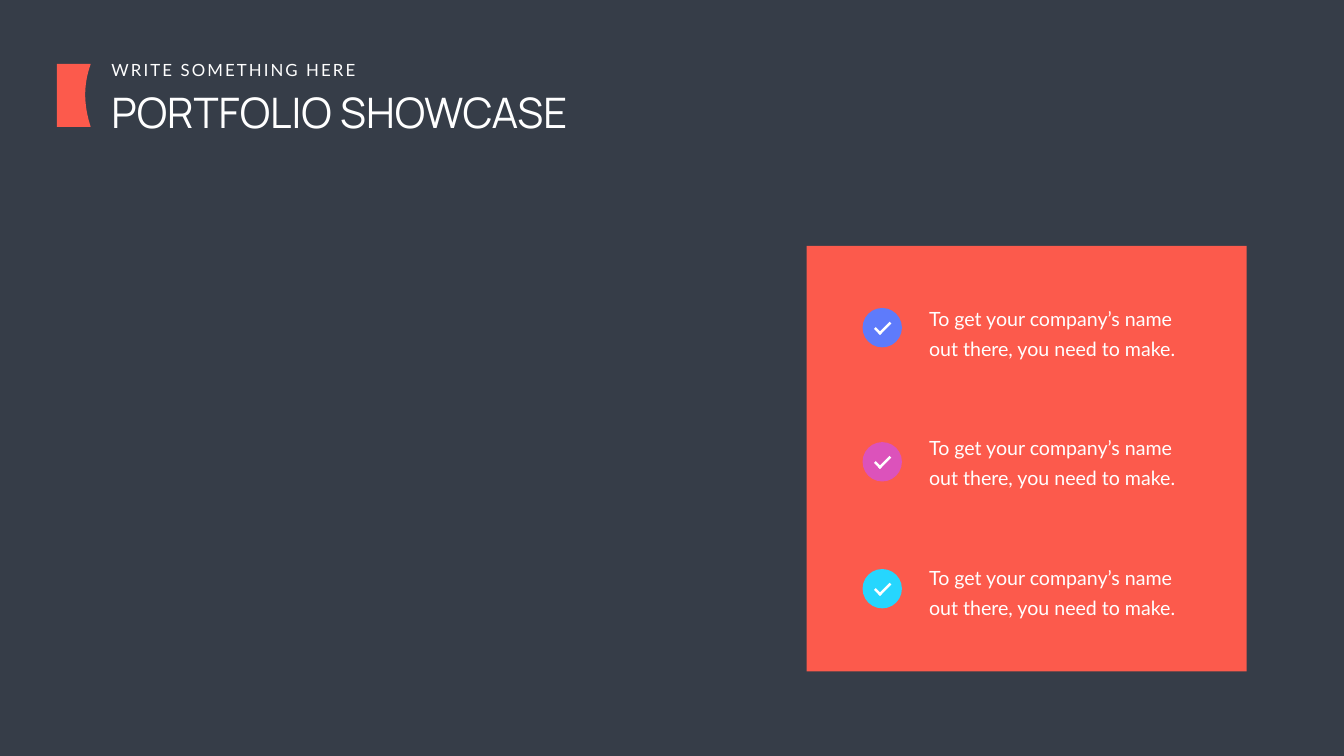
from pptx import Presentation
from pptx.dml.color import RGBColor
from pptx.enum.shapes import MSO_SHAPE as Kind
from pptx.enum.text import MSO_ANCHOR as Anchor, MSO_AUTO_SIZE as Fit, PP_ALIGN as Align
from pptx.oxml.ns import qn
from pptx.util import Pt
from lxml.etree import SubElement

SLATE = RGBColor(0x36, 0x3D, 0x48)
CORAL = RGBColor(0xFC, 0x5A, 0x4C)
BLUE = RGBColor(0x5E, 0x7B, 0xFB)
PINK = RGBColor(0xDC, 0x52, 0xBB)
CYAN = RGBColor(0x26, 0xD6, 0xFE)
WHITE = RGBColor(0xFF, 0xFF, 0xFF)

CLAIM = "To get your company’s name out there, you need to make."


def place(shape, x, y, w, h):
    shape.left, shape.top, shape.width, shape.height = Pt(x), Pt(y), Pt(w), Pt(h)


def paint(shape, color):
    shape.shadow.inherit = False
    shape.fill.solid()
    shape.fill.fore_color.rgb = color
    shape.line.fill.background()


def block(slide, kind, x, y, w, h, color, turn=0):
    shape = slide.shapes.add_shape(kind, Pt(x), Pt(y), Pt(w), Pt(h))
    paint(shape, color)
    shape.rotation = turn


def write(holder, box, text, face, size, inset=(7.2, 3.6), anchor=Anchor.TOP):
    """Move a placeholder to its box and fill it with one plain paragraph."""
    place(holder, *box)
    frame = holder.text_frame
    frame.text = text
    frame.word_wrap = True
    frame.auto_size = Fit.NONE
    frame.vertical_anchor = anchor
    frame.margin_left = frame.margin_right = Pt(inset[0])
    frame.margin_top = frame.margin_bottom = Pt(inset[1])
    para = frame.paragraphs[0]
    props = para._p.get_or_add_pPr()
    props.set("marL", "0")
    props.set("indent", "0")
    SubElement(props, qn("a:buNone"))
    para.alignment = Align.LEFT
    para.space_before = Pt(0)
    font = para.runs[0].font
    font.name, font.size, font.bold = face, Pt(size), False
    font.color.rgb = WHITE
    return para


def flag(slide, x, y, w, h):
    """Upright mark whose right edge bows inwards."""
    ends = ((w, 0), (w - 8.6, 0.27 * h), (w - 12.2, 0.58 * h), (w, h))
    steps = 24
    edge = []
    for i in range(steps + 1):
        t = i / steps
        parts = ((1 - t) ** 3, 3 * t * (1 - t) ** 2, 3 * t * t * (1 - t), t ** 3)
        px = sum(k * p[0] for k, p in zip(parts, ends))
        py = sum(k * p[1] for k, p in zip(parts, ends))
        edge.append((Pt(x + px), Pt(y + py)))
    pen = slide.shapes.build_freeform(Pt(x), Pt(y))
    pen.add_line_segments(edge + [(Pt(x), Pt(y + h))], close=True)
    paint(pen.convert_to_shape(), CORAL)


def header(slide, kicker, x, y, w, h):
    flag(slide, x, y + 10, 48.2, 90)
    left = x + 70.6
    write(slide.shapes.title, (left, y + 38.9, w - 70.6, h - 38.9),
          "PORTFOLIO SHOWCASE", "Manrope", 60, anchor=Anchor.MIDDLE)
    para = write(kicker, (left, y, 370, 36), "WRITE SOMETHING HERE", "Lato", 24)
    kicker.text_frame.word_wrap = False
    para.runs[0]._r.get_or_add_rPr().set("spc", "300")


def badge(slide, x, y, size, color):
    block(slide, Kind.OVAL, x, y, size, size, color)
    # Short and long stroke of the tick
    block(slide, Kind.RECTANGLE, x + 15.8, y + 31, 12.2, 3.6, WHITE, 45)
    block(slide, Kind.RECTANGLE, x + 20.2, y + 27.2, 23, 3.6, WHITE, 315)


def panel(slide, holders, x, y, w, h):
    block(slide, Kind.RECTANGLE, x, y, w, h, CORAL)
    marks = ((BLUE, 88.6), (PINK, 280.2), (CYAN, 461.5))
    for i, (holder, (color, drop)) in enumerate(zip(holders, marks)):
        box = (x + 157.7, y + 69.1 + 184.7 * i, 390.2, 100)
        para = write(holder, box, CLAIM, "Lato", 28, inset=(17.3, 8.6))
        para.line_spacing = Pt(43)
        badge(slide, x + 79.9, y + drop, 56.2, color)


def raise_up(slide, holders):
    """Bring text placeholders in front of the drawn shapes."""
    for holder in holders:
        slide.shapes._spTree.append(holder._element)


def main():
    deck = Presentation()
    deck.slide_width, deck.slide_height = Pt(1919.52), Pt(1080)
    # The comparison layout has a title and four text bodies
    slide = deck.slides.add_slide(deck.slide_layouts[4])
    slide.background.fill.solid()
    slide.background.fill.fore_color.rgb = SLATE
    kicker, *claims = [slide.placeholders[i] for i in range(1, 5)]
    header(slide, kicker, 81.4, 81.4, 1070.6, 118.8)
    panel(slide, claims, 1152, 351.4, 628.6, 607.7)
    raise_up(slide, claims)
    deck.save("out.pptx")


if __name__ == "__main__":
    main()
